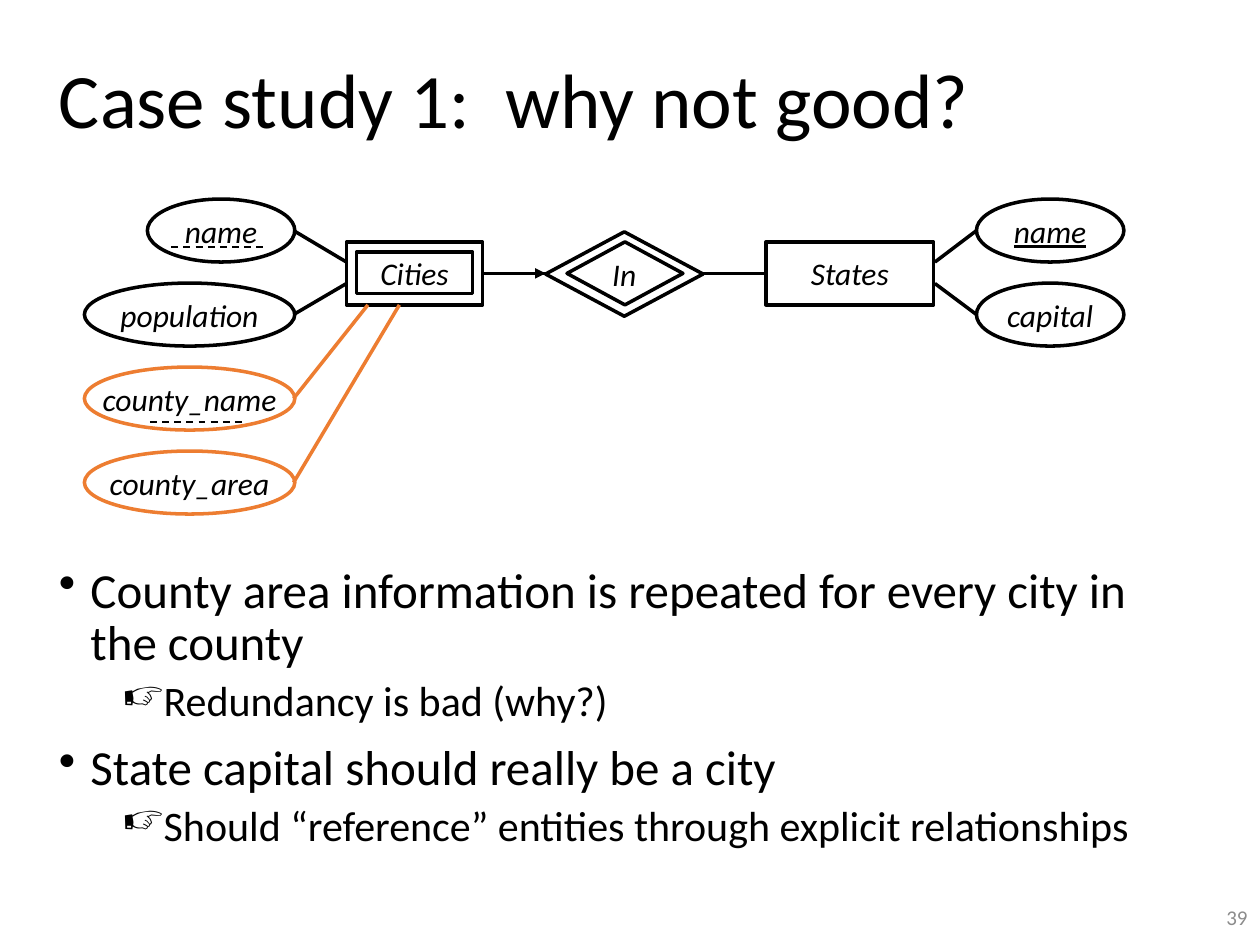
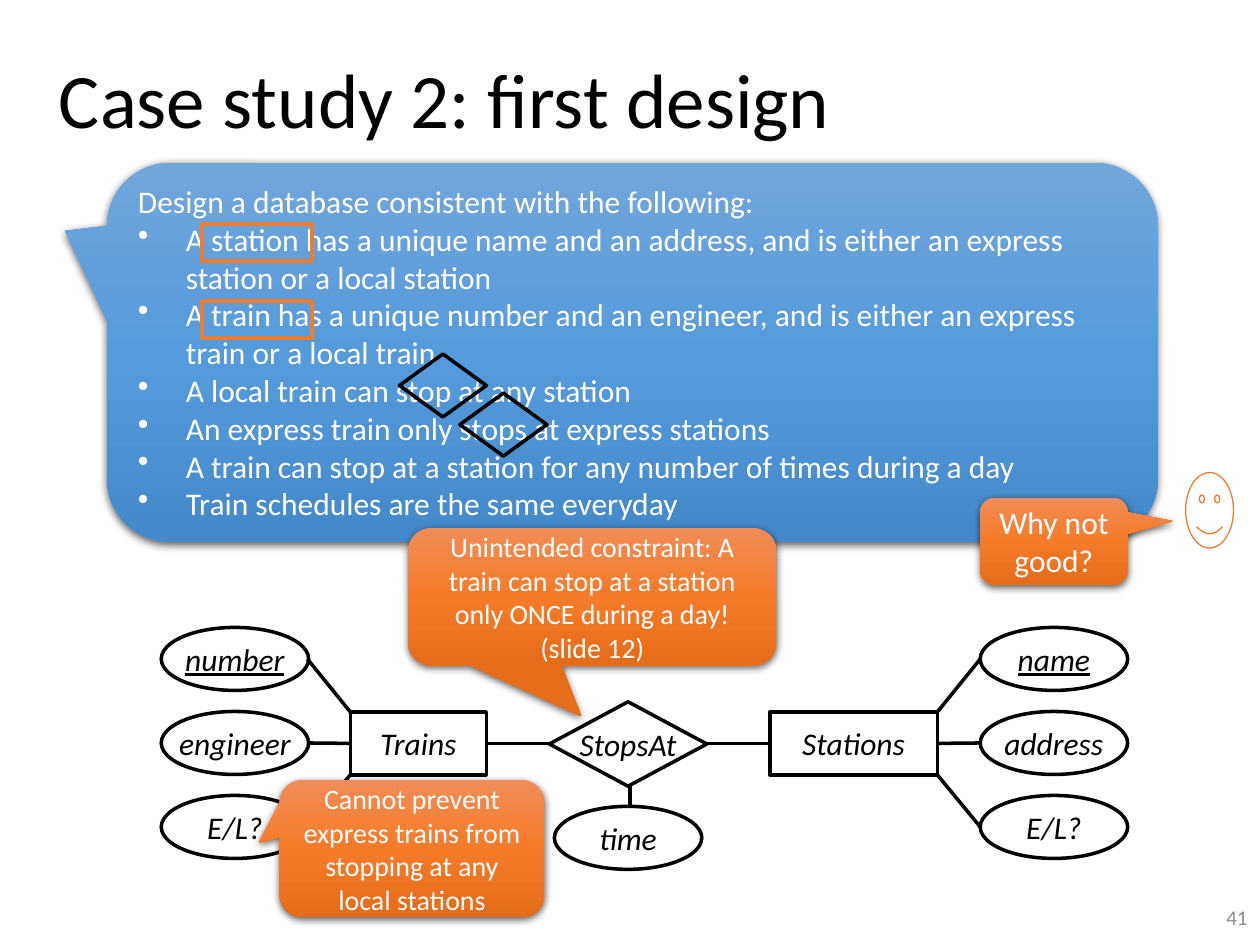
"""Build two slides on entity-relationship design case studies."""
import copy

import lxml.etree
import pptx
import pptx.dml.color
import pptx.enum.dml
import pptx.enum.shapes
import pptx.enum.text
import pptx.oxml.ns
import pptx.util

Inches = pptx.util.Inches
Pt = pptx.util.Pt
RGBColor = pptx.dml.color.RGBColor
Shape = pptx.enum.shapes.MSO_SHAPE
Align = pptx.enum.text.PP_ALIGN
Anchor = pptx.enum.text.MSO_ANCHOR
qn = pptx.oxml.ns.qn

FONT = "Calibri"
BLACK = RGBColor(0x00, 0x00, 0x00)
WHITE = RGBColor(0xFF, 0xFF, 0xFF)
GREY = RGBColor(0x8C, 0x8C, 0x8C)
ORANGE = RGBColor(0xED, 0x7D, 0x31)
BLUE_SHADES = (RGBColor(0x71, 0xA6, 0xDB), RGBColor(0x55, 0x9B, 0xDB), RGBColor(0x44, 0x8A, 0xCA))
ORANGE_SHADES = (RGBColor(0xF1, 0x8C, 0x57), RGBColor(0xF6, 0x7B, 0x28), RGBColor(0xE5, 0x6C, 0x19))

NODE_HEIGHT = 0.5
ROW_STEP = 2 / 3
ATTRIBUTE_WIDTH = 1.17

FINDINGS = (
    (0, "County area information is repeated for every city in the county"),
    (1, "Redundancy is bad (why?)"),
    (0, "State capital should really be a city"),
    (1, "Should “reference” entities through explicit relationships"),
)
FINDING_STYLES = (
    dict(size=28, bullet="•", margin=0.25, hang=0.25, before=10),
    dict(size=24, bullet="☞", margin=0.75, hang=0.25, before=5),
)
REQUIREMENTS = (
    "A station has a unique name and an address, and is either an express station or a local station",
    "A train has a unique number and an engineer, and is either an express train or a local train",
    "A local train can stop at any station",
    "An express train only stops at express stations",
    "A train can stop at a station for any number of times during a day",
    "Train schedules are the same everyday",
)


def add_paragraph(frame, text, *, size=18, color=BLACK, align=Align.LEFT, italic=False,
                  underline=False, bullet=None, margin=0, hang=0, before=0, spacing=None):
    """Write one formatted paragraph, using the empty first one if there is one."""
    is_first = not frame.text
    para = frame.paragraphs[0] if is_first else frame.add_paragraph()
    para.alignment = align
    if bullet:
        properties = para._p.get_or_add_pPr()
        properties.set("marL", str(Inches(margin)))
        properties.set("indent", str(-Inches(hang)))
        lxml.etree.SubElement(properties, qn("a:buChar"), char=bullet)
    if spacing:
        para.line_spacing = spacing
    para.space_before = Pt(0 if is_first else before)
    span = para.add_run()
    span.text = text
    span.font.name = FONT
    span.font.size = Pt(size)
    span.font.italic = italic
    span.font.underline = underline
    span.font.color.rgb = color


def add_box(page, left, top, width, height, anchor=Anchor.TOP):
    """Add a wrapping text box and return its text frame."""
    box = page.shapes.add_textbox(Inches(left), Inches(top), Inches(width), Inches(height))
    box.text_frame.word_wrap = True
    box.text_frame.vertical_anchor = anchor
    return box.text_frame


def add_page(deck, title, number):
    """Add a blank page with its title and page number."""
    page = deck.slides.add_slide(deck.slide_layouts[6])
    add_paragraph(add_box(page, 0.37, 0.18, 9.63, 1.29, Anchor.MIDDLE), title, size=44, spacing=0.9)
    add_paragraph(add_box(page, 7.75, 7.08, 2.25, 0.4, Anchor.MIDDLE), str(number),
                  size=12, color=GREY, align=Align.RIGHT)
    return page


def add_node(page, kind, left, top, width, height=NODE_HEIGHT, text="", *,
             color=BLACK, weight=2, underline=False):
    """Add an unfilled outline with an optional italic label."""
    node = page.shapes.add_shape(kind, Inches(left), Inches(top), Inches(width), Inches(height))
    node.shadow.inherit = False
    node.fill.background()
    node.line.color.rgb = color
    node.line.width = Pt(weight)
    if text:
        node.text_frame.word_wrap = False
        node.text_frame.vertical_anchor = Anchor.MIDDLE
        add_paragraph(node.text_frame, text, align=Align.CENTER, italic=True, underline=underline)


def add_attribute(page, text, left, top, width=ATTRIBUTE_WIDTH, **style):
    """Add an attribute ellipse."""
    add_node(page, Shape.OVAL, left, top, width, text=text, **style)


def add_line(page, start, end, *, color=BLACK, weight=2, dashed=False, arrow=False):
    """Draw a straight line between two points."""
    line = page.shapes.add_connector(pptx.enum.shapes.MSO_CONNECTOR.STRAIGHT,
                                     *(Inches(value) for value in (*start, *end)))
    line.line.color.rgb = color
    line.line.width = Pt(weight)
    if dashed:
        line.line.dash_style = pptx.enum.dml.MSO_LINE.DASH
    if arrow:
        lxml.etree.SubElement(line.line._get_or_add_ln(), qn("a:tailEnd"), type="triangle")
    lxml.etree.SubElement(line._element.spPr, qn("a:effectLst"))


def add_callout(page, left, top, width, height, pointer, shades):
    """Add a shaded speech bubble with a soft shadow and return its text frame."""
    callout = page.shapes.add_shape(Shape.ROUNDED_RECTANGULAR_CALLOUT, Inches(left), Inches(top),
                                    Inches(width), Inches(height))
    callout.adjustments[0], callout.adjustments[1] = pointer
    callout.line.fill.background()
    callout.fill.gradient()
    callout.fill.gradient_angle = 270
    properties = callout._element.spPr
    stop_list = properties.find(".//" + qn("a:gsLst"))
    stop_list.append(copy.deepcopy(stop_list[-1]))
    for stop, shade, position in zip(callout.fill.gradient_stops, shades, (0, 0.5, 1)):
        stop.color.rgb = shade
        stop.position = position
    callout.shadow.inherit = False
    shadow = lxml.etree.SubElement(properties.find(qn("a:effectLst")), qn("a:outerShdw"),
                                   blurRad=str(Pt(4.5)), dist=str(Pt(1.5)), dir="5400000",
                                   rotWithShape="0")
    shadow_color = lxml.etree.SubElement(shadow, qn("a:srgbClr"), val=str(BLACK))
    lxml.etree.SubElement(shadow_color, qn("a:alpha"), val="63000")
    callout.text_frame.word_wrap = True
    callout.text_frame.vertical_anchor = Anchor.MIDDLE
    return callout.text_frame


def add_remark(page, text, *place, pointer, size=16):
    """Add an orange callout with centred text."""
    frame = add_callout(page, *place, pointer, ORANGE_SHADES)
    add_paragraph(frame, text, size=size, color=WHITE, align=Align.CENTER)


def add_relationship(page, left, top, first, name, second):
    """Draw two entities joined through a relationship diamond."""
    middle = top + NODE_HEIGHT / 2
    add_node(page, Shape.RECTANGLE, left, top, 1.08, text=first)
    add_node(page, Shape.FLOWCHART_DECISION, left + 1.58, top - 0.08, 1.25, 0.67, name)
    add_node(page, Shape.RECTANGLE, left + 3.33, top, 1.33, text=second)
    for start in (left + 1.08, left + 2.83):
        add_line(page, (start, middle), (start + 0.5, middle))


def build_cities(deck):
    """Build the page that criticises the cities design."""
    page = add_page(deck, "Case study 1:  why not good?", 39)
    frame = add_box(page, 0.37, 4.44, 8.94, 2.91)
    for level, text in FINDINGS:
        add_paragraph(frame, text, spacing=0.9, **FINDING_STYLES[level])

    add_relationship(page, 2.75, 1.92, "Cities", "In", "States")
    add_node(page, Shape.FLOWCHART_DECISION, 4.5, 1.92, 0.92)
    add_node(page, Shape.RECTANGLE, 2.83, 2, 0.92, 0.33)
    add_line(page, (3.83, 2.17), (4.33, 2.17), weight=0.5, arrow=True)

    rows = [1.58 + ROW_STEP * index for index in range(4)]
    add_attribute(page, "name", 7.75, rows[0], underline=True)
    add_attribute(page, "capital", 7.75, rows[1])
    add_attribute(page, "name", 1.17, rows[0])
    add_attribute(page, "population", 0.67, rows[1], 1.67)
    add_attribute(page, "county_name", 0.67, rows[2], 1.67, color=ORANGE)
    add_attribute(page, "county_area", 0.67, rows[3], 1.67, color=ORANGE)
    for row, joint in zip(rows, (2.08, 2.25)):
        add_line(page, (2.33, row + 0.25), (2.75, joint))
        add_line(page, (7.42, joint), (7.75, row + 0.25))
    for row, joint in zip(rows[2:], (2.92, 3.17)):
        add_line(page, (joint, 2.42), (2.33, row + 0.25), color=ORANGE)
    for left, top in ((1.36, 1.96), (1.19, 3.35)):
        add_line(page, (left, top), (left + 0.75, top), weight=1, dashed=True)


def build_trains(deck):
    """Build the page with the first design for the train schedule."""
    page = add_page(deck, "Case study 2: first design", 41)
    frame = add_callout(page, 0.85, 1.29, 8.34, 3.01, (-0.54, -0.32), BLUE_SHADES)
    add_paragraph(frame, "Design a database consistent with the following:", color=WHITE)
    for text in REQUIREMENTS:
        add_paragraph(frame, text, color=WHITE, bullet="•", margin=0.38, hang=0.38)

    add_relationship(page, 2.78, 5.65, "Trains", "StopsAt", "Stations")
    sides = (
        (1.28, 2.44, 2.78, ("number", "engineer", "E/L?")),
        (7.78, 7.78, 7.44, ("name", "address", "E/L?")),
    )
    for left, edge, entity_edge, names in sides:
        for index, name in enumerate(names):
            top = 4.98 + ROW_STEP * index
            add_attribute(page, name, left, top, underline=index == 0)
            add_line(page, (entity_edge, 5.65 + 0.25 * index), (edge, top + 0.25))
    add_attribute(page, "time", 4.4, 6.4)
    add_line(page, (5, 6.23), (5, 6.4))

    add_remark(page, "Why not good?", 7.78, 3.95, 1.17, 0.69, pointer=(0.81, -0.23), size=18)
    add_node(page, Shape.SMILEY_FACE, 9.41, 3.75, 0.38, 0.6, color=ORANGE, weight=0.75)
    for top in (1.78, 2.39):
        add_node(page, Shape.RECTANGLE, 1.6, top, 0.88, 0.29, color=ORANGE, weight=2.25)
    for left, top in ((3.17, 2.81), (3.65, 3.12)):
        add_node(page, Shape.FLOWCHART_DECISION, left, top, 0.69)
    add_remark(page, "Cannot prevent express trains from stopping at any local stations",
               2.22, 6.19, 2.1, 1.09, pointer=(-0.58, -0.04))
    add_remark(page, "Unintended constraint: A train can stop at a station only ONCE "
               "during a day! (slide 12)", 3.24, 4.19, 2.92, 1.09, pointer=(-0.03, 0.87))


def main():
    """Build the deck and save it."""
    deck = pptx.Presentation()
    deck.slide_width = Inches(10)
    deck.slide_height = Inches(7.5)
    build_cities(deck)
    build_trains(deck)
    deck.save("out.pptx")


if __name__ == "__main__":
    main()
